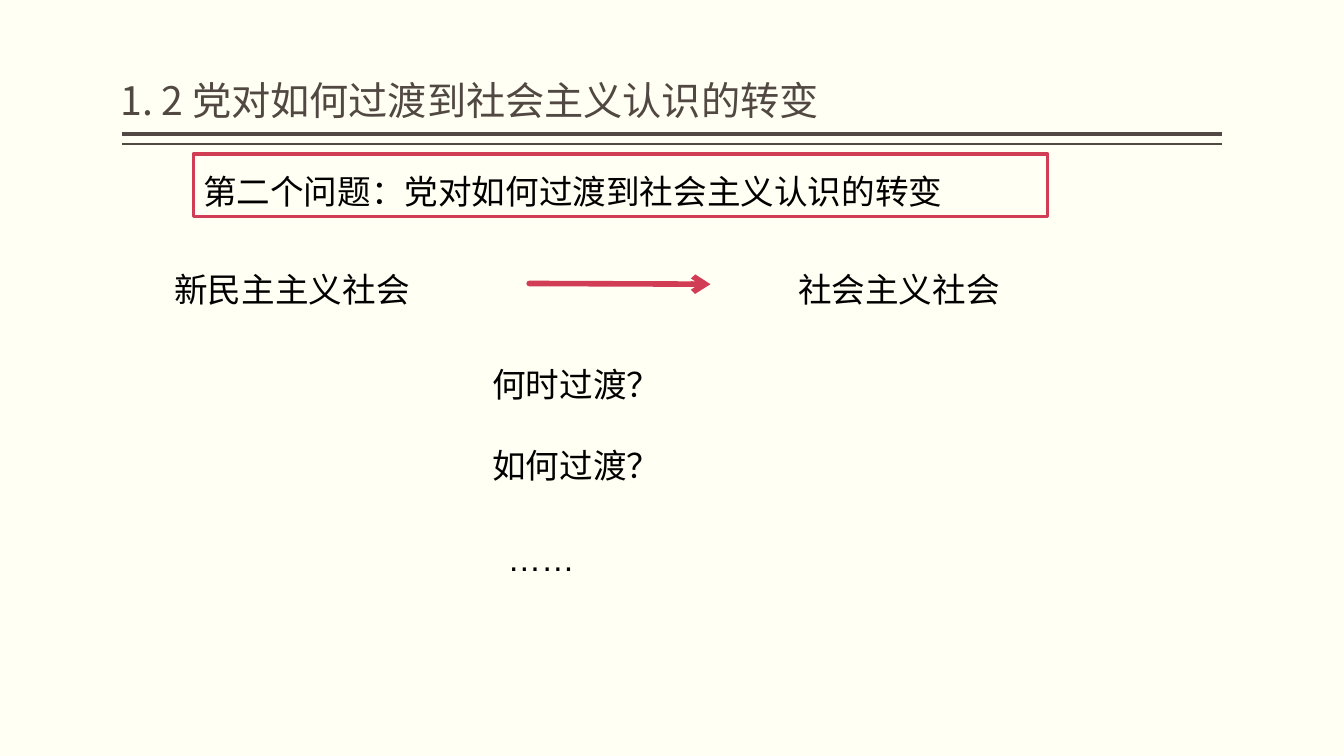
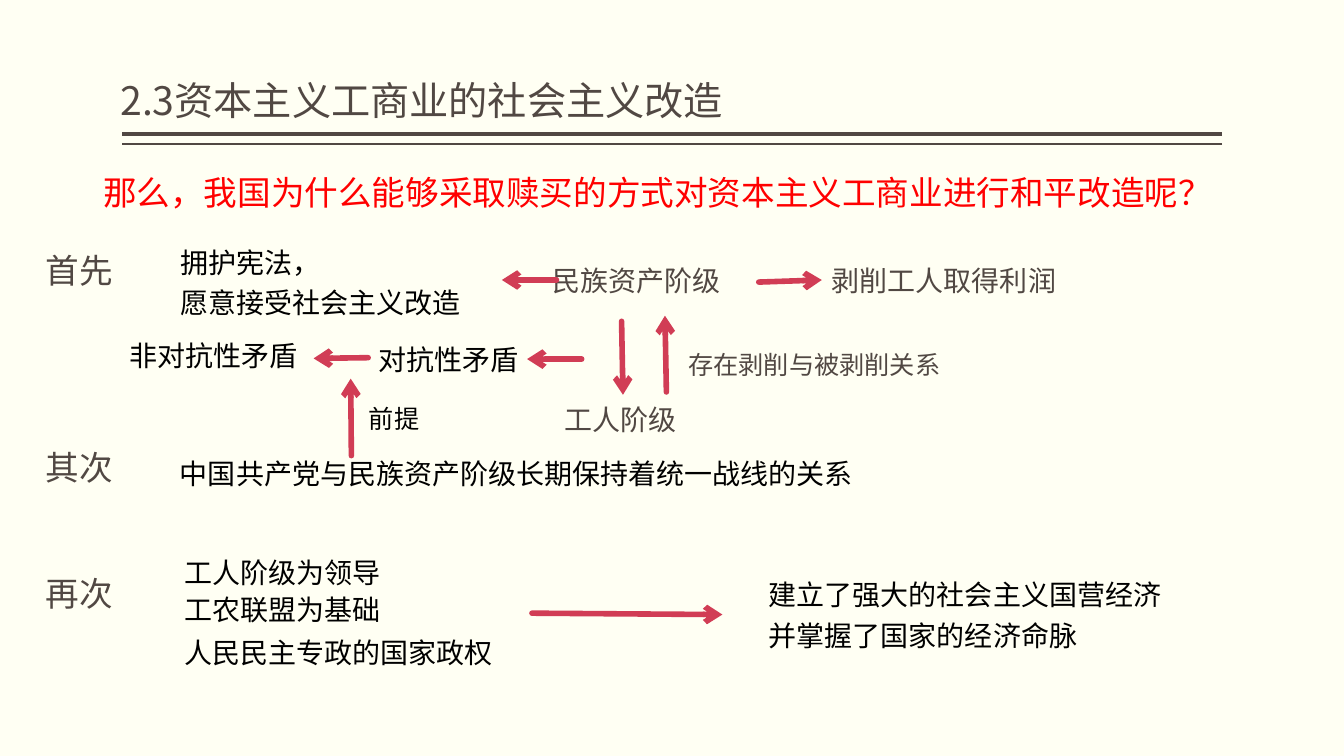
from collections import namedtuple
from lxml.etree import SubElement
from pptx import Presentation
from pptx.dml.color import RGBColor
from pptx.enum.shapes import MSO_CONNECTOR, MSO_SHAPE
from pptx.enum.text import MSO_ANCHOR, MSO_AUTO_SIZE, PP_ALIGN
from pptx.oxml.ns import qn
from pptx.util import Pt

Theme = namedtuple("Theme", "paper brown black red accent head body title lead text note")
T = Theme(
    paper=RGBColor.from_string("FFFFF3"),
    brown=RGBColor.from_string("514843"),
    black=RGBColor.from_string("000000"),
    red=RGBColor.from_string("FF0000"),
    accent=RGBColor.from_string("D13D55"),
    head="Noto Sans CJK SC",
    body="Calibri",
    title=28,
    lead=24,
    text=20,
    note=18,
)


def write(sp, lines, size, color, spacing, indent=0, font=T.body):
    tf = sp.text_frame
    tf.word_wrap = True
    tf.auto_size = MSO_AUTO_SIZE.NONE
    for i, line in enumerate(lines):
        p = tf.paragraphs[0] if i == 0 else tf.add_paragraph()
        p.alignment = PP_ALIGN.LEFT
        p.line_spacing = spacing[i] if isinstance(spacing, tuple) else spacing
        if indent:
            p._p.get_or_add_pPr().set("marL", str(Pt(indent)))
        r = p.add_run()
        r.text = line
        r.font.size = Pt(size)
        r.font.name = font
        r.font.color.rgb = color
        SubElement(r._r.get_or_add_rPr(), qn("a:ea"), typeface=font)


def draw_line(s, x1, y1, x2, y2, color, width, arrow=False):
    c = s.shapes.add_connector(MSO_CONNECTOR.STRAIGHT, Pt(x1), Pt(y1), Pt(x2), Pt(y2))
    c.line.color.rgb = color
    c.line.width = Pt(width)
    if arrow:
        ln = c.line._get_or_add_ln()
        ln.set("cap", "rnd")
        SubElement(ln, qn("a:tailEnd"), type="arrow")
    SubElement(c.element.spPr, qn("a:effectLst"))
    return c


prs = Presentation()
prs.slide_width, prs.slide_height = Pt(960), Pt(540)
bg = prs.slide_master.background.fill
bg.solid()
bg.fore_color.rgb = T.paper
layout = prs.slide_layouts[5]

slides = []
for title in ("1. 2 党对如何过渡到社会主义认识的转变", "2.3资本主义工商业的社会主义改造"):
    s = prs.slides.add_slide(layout)
    sp = s.shapes.title
    sp.left, sp.top, sp.width, sp.height = Pt(86), Pt(6), Pt(786), Pt(86)
    tf = sp.text_frame
    tf.margin_left = tf.margin_right = 0
    tf.margin_top = tf.margin_bottom = Pt(3.6)
    tf.vertical_anchor = MSO_ANCHOR.BOTTOM
    write(sp, [title], T.title, T.brown, 0.9, font=T.head)
    slides.append(s)
transition, industry = slides

for shape_id, y, width in ((20, 96, 3), (21, 103, 1)):
    rule = draw_line(transition, 873, y, 87, y, T.brown, width)
    rule.element.nvCxnSpPr.cNvPr.set("id", str(shape_id))
    layout.shapes.element.append(rule.element)

s = transition
for x, y, text, indent, font in (
    (101.5, 180, "新民主主义社会", 16, T.body),
    (547, 180, "社会主义社会", 16, T.body),
    (317.5, 247.5, "何时过渡？", 27, T.body),
    (317.5, 306, "如何过渡？", 27, T.body),
    (317.5, 372, "……", 38, "Arial"),
):
    sp = s.shapes.add_textbox(Pt(x), Pt(y), Pt(250.5), Pt(44.5))
    write(sp, [text], T.lead, T.black, 1.3, indent, font)
draw_line(s, 378, 202.5, 507.5, 203, T.accent, 4, True)

sp = s.shapes.add_shape(MSO_SHAPE.RECTANGLE, Pt(138), Pt(110), Pt(610.5), Pt(44.5))
sp.shadow.inherit = False
sp.fill.background()
sp.line.color.rgb = T.accent
sp.line.width = Pt(2.25)
sp.text_frame.vertical_anchor = MSO_ANCHOR.TOP
write(sp, ["第二个问题：党对如何过渡到社会主义认识的转变"], T.lead, T.black, 1.3)

s = industry
for x, y, w, h, lines, size, color, spacing, indent in (
    (55.5, 107.5, 840, 47.5, ["那么，我国为什么能够采取赎买的方式对资本主义工商业进行和平改造呢？"],
     T.lead, T.red, 1.4, 11),
    (376.5, 169, 197.5, 47.5, ["民族资产阶级"], T.text, T.brown, 1.64, 11),
    (587, 169, 197.5, 47.5, ["剥削工人取得利润"], T.text, T.brown, 1.64, 0),
    (121.5, 167, 223, 65.5, ["拥护宪法，", "愿意接受社会主义改造"], T.text, T.black, 1.2, 0),
    (380, 280, 197.5, 36, ["工人阶级"], T.text, T.brown, 1.16, 16),
    (484.5, 229, 264, 47.5, ["存在剥削与被剥削关系"], T.note, T.brown, 1.79, 0),
    (263, 225.5, 117.5, 47.5, ["对抗性矛盾"], T.text, T.black, 1.64, 0),
    (85.5, 232, 138, 39, ["非对抗性矛盾"], T.text, T.black, 1.27, 0),
    (121.5, 316, 534, 39, ["中国共产党与民族资产阶级长期保持着统一战线的关系"], T.text, T.black, 1.27, 0),
    (256.5, 282, 52.5, 33, ["前提"], T.note, T.black, 1.13, 0),
    (124.5, 391, 237, 92, ["工人阶级为领导", "工农联盟为基础", "人民民主专政的国家政权"],
     T.text, T.black, (1.1, 1.1, 1.27), 0),
    (542, 404.5, 299, 65.5, ["建立了强大的社会主义国营经济并掌握了国家的经济命脉"], T.text, T.black, 1.2, 0),
):
    sp = s.shapes.add_textbox(Pt(x), Pt(y), Pt(w), Pt(h))
    write(sp, lines, size, color, spacing, indent)

for y, step in ((175, "首先"), (316, "其次"), (406, "再次")):
    sp = s.shapes.add_textbox(Pt(14.5), Pt(y), Pt(106.5), Pt(36))
    write(sp, [step], T.lead, T.brown, 1.0, 11)

for ends in (
    (542, 201.5, 587, 200),
    (397.5, 200, 358.5, 200),
    (444, 229.5, 445, 282),
    (476, 280, 475, 225.5),
    (415.5, 256.5, 376.5, 256.5),
    (263, 255.5, 224, 256),
    (251, 325.5, 250.5, 270.5),
    (380, 438, 516, 439),
):
    draw_line(s, *ends, T.accent, 4, True)

prs.save("out.pptx")
